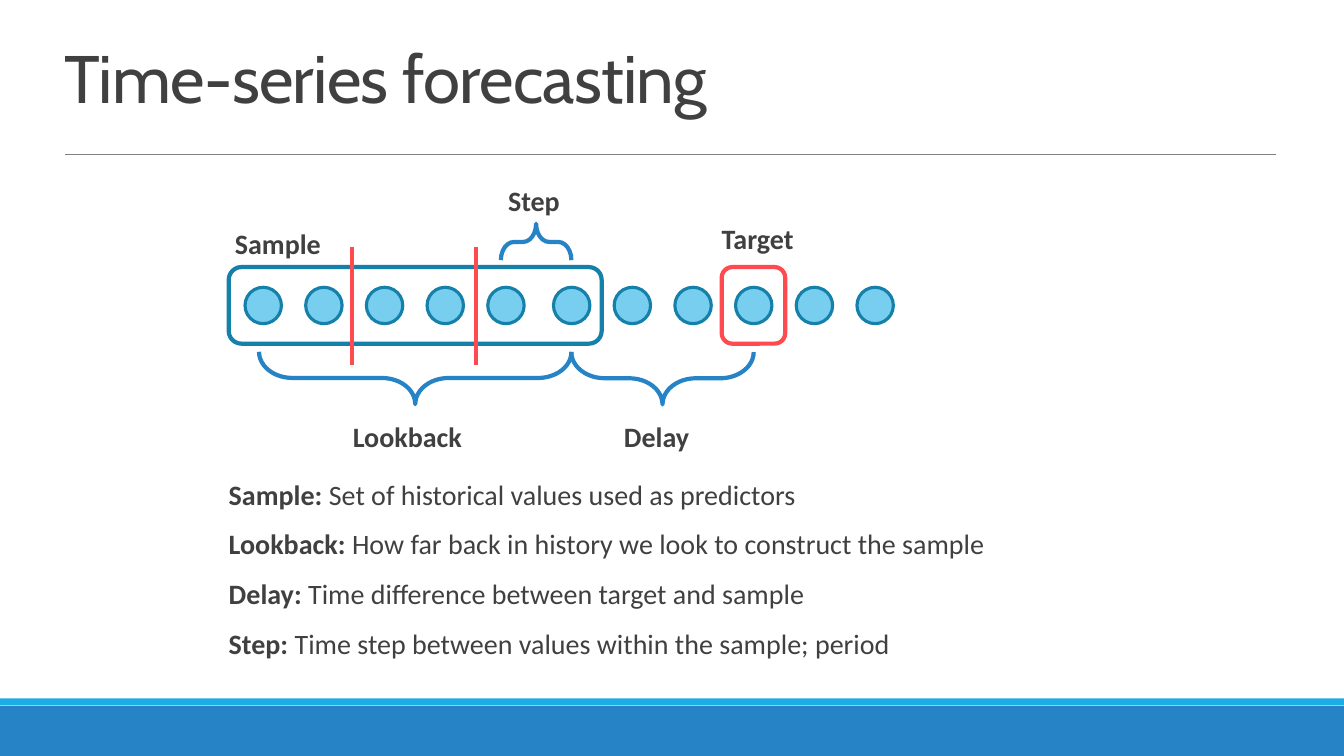
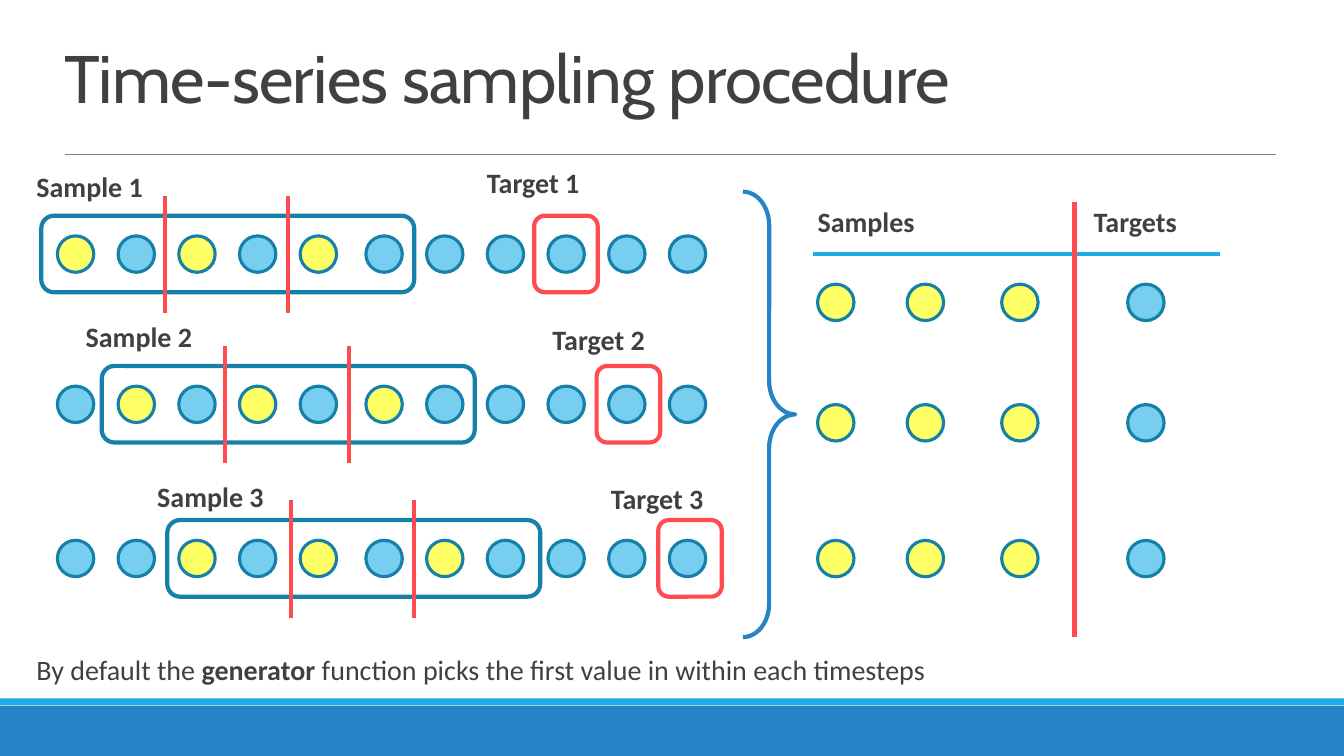
from dataclasses import dataclass

from lxml import etree
from pptx import Presentation
from pptx.dml.color import RGBColor
from pptx.enum.shapes import MSO_CONNECTOR as CONN, MSO_SHAPE as SHAPE
from pptx.enum.text import MSO_ANCHOR as ANCHOR
from pptx.oxml.ns import qn
from pptx.util import Pt


@dataclass(frozen=True)
class Theme:
    text: str = "404040"
    rule: str = "808080"
    band: str = "2683C6"
    accent: str = "1CADE4"
    dot: str = "77CEEF"
    picked: str = "FFFF66"
    outline: str = "1580A9"
    target: str = "FF4B4F"
    title_font: str = "Cabin"
    body_font: str = "Calibri"
    title_size: float = 48
    body_size: float = 20
    stroke: float = 3
    dot_stroke: float = 2.25


T = Theme()
WIDTH, HEIGHT = 960, 540
DOT = 26
DOT_COUNT = 11
DOT_PITCH = 43.35
SIXTH_DOT_SHIFT = 3.6


def rgb(value):
    return RGBColor.from_string(value)


def add_shape(shapes, kind, x, y, w, h, fill=None, line=None, weight=T.stroke):
    sp = shapes.add_shape(kind, Pt(x), Pt(y), Pt(w), Pt(h))
    sp.shadow.inherit = False
    if fill:
        sp.fill.solid()
        sp.fill.fore_color.rgb = rgb(fill)
    else:
        sp.fill.background()
    if line:
        sp.line.color.rgb = rgb(line)
        sp.line.width = Pt(weight)
    else:
        sp.line.fill.background()
    return sp


def add_line(s, x1, y1, x2, y2, color, weight=T.stroke):
    c = s.shapes.add_connector(CONN.STRAIGHT, Pt(x1), Pt(y1), Pt(x2), Pt(y2))
    c.line.color.rgb = rgb(color)
    c.line.width = Pt(weight)
    etree.SubElement(c._element.spPr, qn("a:effectLst"))


def add_run(p, text, font, size, bold=False):
    r = p.add_run()
    r.text = text
    r.font.name = font
    r.font.size = Pt(size)
    r.font.bold = bold
    r.font.color.rgb = rgb(T.text)
    return r


def add_text(s, x, y, w, h, paragraphs):
    tf = s.shapes.add_textbox(Pt(x), Pt(y), Pt(w), Pt(h)).text_frame
    tf.word_wrap = True
    tf.margin_left = tf.margin_right = 0
    for i, runs in enumerate(paragraphs):
        p = tf.add_paragraph() if i else tf.paragraphs[0]
        p.line_spacing = 0.9
        p.space_before = Pt(12 if i else 0)
        p.space_after = Pt(2)
        for text, bold in runs:
            add_run(p, text, T.body_font, T.body_size, bold)


def add_label(s, text, x, y):
    add_text(s, x, y, 106, 30, [[(text, True)]])


def add_brace(s, cx, cy, depth, span, turn=0, curve=0.64):
    sp = add_shape(s.shapes, SHAPE.RIGHT_BRACE, cx - depth / 2, cy - span / 2,
                   depth, span, line=T.band)
    sp.adjustments[0] = curve
    sp.rotation = turn


def add_dot(shapes, x, y, fill=T.dot):
    add_shape(shapes, SHAPE.OVAL, x, y, DOT, DOT, fill, T.outline, T.dot_stroke)


def add_series(s, x, y, frame_x, target_x, picked=()):
    group = s.shapes.add_group_shape()
    for i in range(DOT_COUNT):
        shift = SIXTH_DOT_SHIFT if i >= 5 else 0
        add_dot(group.shapes, x + i * DOT_PITCH + shift, y,
                T.picked if i in picked else T.dot)
    for left, w, color in ((frame_x, 266.4, T.outline), (target_x, 45.4, T.target)):
        add_shape(s.shapes, SHAPE.ROUNDED_RECTANGLE, left, y - 14.4, w, 54.7, line=color)
    for step in (1, 2):
        divider_x = frame_x + step * 88.2
        add_line(s, divider_x, y - 28.8, divider_x, y + 55.2, T.target)


def add_slide(prs, title):
    s = prs.slides.add_slide(prs.slide_layouts[6])
    add_shape(s.shapes, SHAPE.RECTANGLE, 0, 504, WIDTH, 36, T.band)
    add_shape(s.shapes, SHAPE.RECTANGLE, 0, 498.8, WIDTH, 5, T.accent)
    add_line(s, 46.4, 110.2, 911.5, 110.2, T.rule, 0.5)
    tf = s.shapes.add_textbox(Pt(39), Pt(15), Pt(872), Pt(72)).text_frame
    tf.word_wrap = True
    tf.vertical_anchor = ANCHOR.BOTTOM
    p = tf.paragraphs[0]
    p.line_spacing = 0.85
    r = add_run(p, title, T.title_font, T.title_size)
    r._r.get_or_add_rPr().set("spc", "-50")
    return s


def forecasting_slide(prs):
    s = add_slide(prs, "Time-series forecasting")
    definitions = (
        ("Sample: ", "Set of historical values used as predictors"),
        ("Lookback: ", "How far back in history we look to construct the sample"),
        ("Delay: ", "Time difference between target and sample"),
        ("Step: ", "Time step between values within the sample; period"),
    )
    add_text(s, 163.4, 340, 633, 140,
             [[(term, True), (meaning, False)] for term, meaning in definitions])
    add_series(s, 175, 205.2, 163.4, 515.5)
    add_brace(s, 296.6, 270, 37.4, 223.2, 90)
    add_brace(s, 473.2, 270.2, 37.4, 130.3, 90)
    add_brace(s, 383, 172.8, 26, 50.4, 270, 0.36)
    for text, x, y in (
        ("Sample", 167.8, 161.3),
        ("Target", 515.5, 157.7),
        ("Step", 362.9, 130.3),
        ("Lookback", 252, 298.8),
        ("Delay", 445.7, 298.8),
    ):
        add_label(s, text, x, y)


def sampling_slide(prs):
    s = add_slide(prs, "Time-series sampling procedure")
    rows = (
        (168.5, 29.5, 381.6, (26, 120.2), (347.8, 117.4)),
        (275.8, 72.7, 426.2, (61.2, 227.5), (394.6, 229.7)),
        (385.9, 119.5, 470.2, (112.3, 342), (436.3, 343.4)),
    )
    for i, (y, frame_x, target_x, sample_at, target_at) in enumerate(rows):
        add_series(s, 41, y, frame_x, target_x, range(i, i + 5, 2))
        add_label(s, f"Sample {i + 1}", *sample_at)
        add_label(s, f"Target {i + 1}", *target_at)
    add_brace(s, 549.4, 296, 37.4, 318.2)
    add_label(s, "Samples", 584, 145.4)
    add_label(s, "Targets", 781.2, 145.4)
    add_line(s, 581, 181.4, 871.2, 181.4, T.accent)
    for y in (203, 289, 386):
        for x in (584, 648, 715.5):
            add_dot(s.shapes, x, y, T.picked)
        add_dot(s.shapes, 805.5, y)
    add_line(s, 767.5, 144, 767.5, 455, T.target)
    add_text(s, 26, 465, 679, 41, [[
        ("By default the ", False),
        ("generator ", True),
        ("function picks the first value in within each timesteps", False),
    ]])


def main():
    prs = Presentation()
    prs.slide_width, prs.slide_height = Pt(WIDTH), Pt(HEIGHT)
    forecasting_slide(prs)
    sampling_slide(prs)
    prs.save("out.pptx")


if __name__ == "__main__":
    main()
